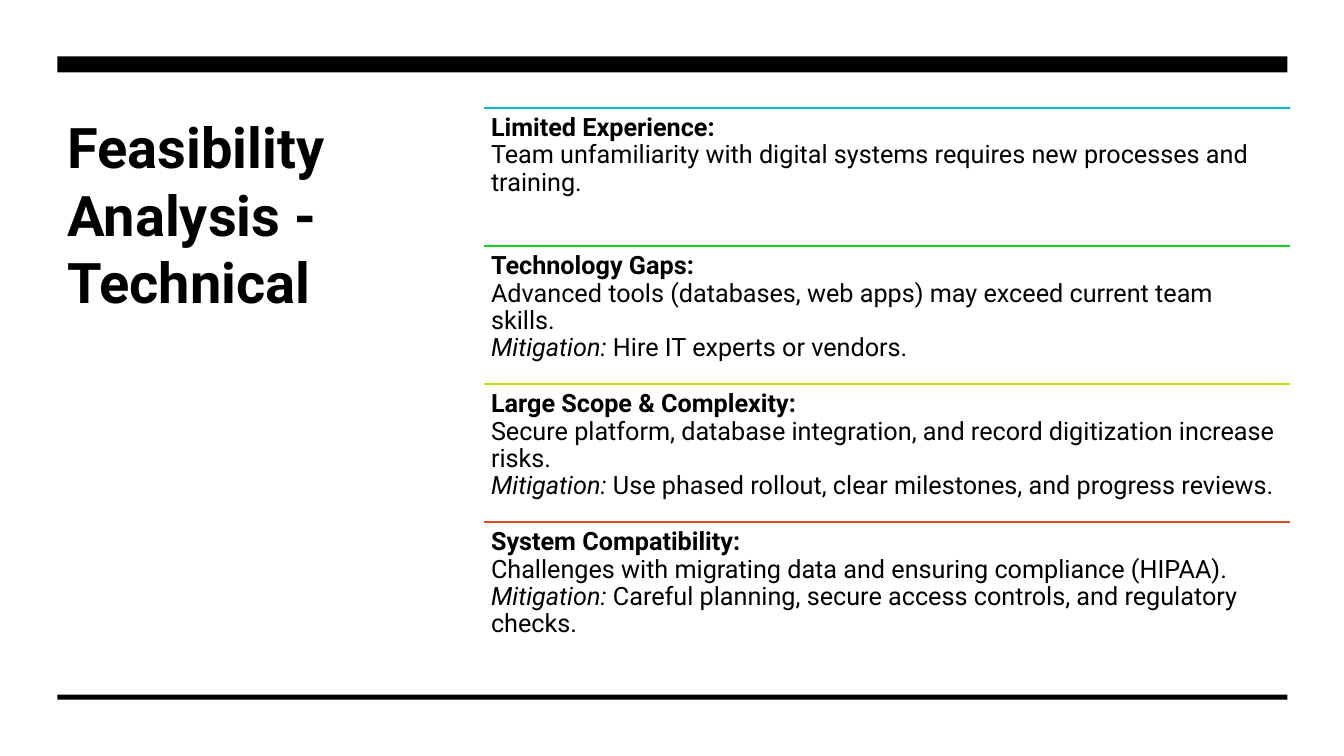
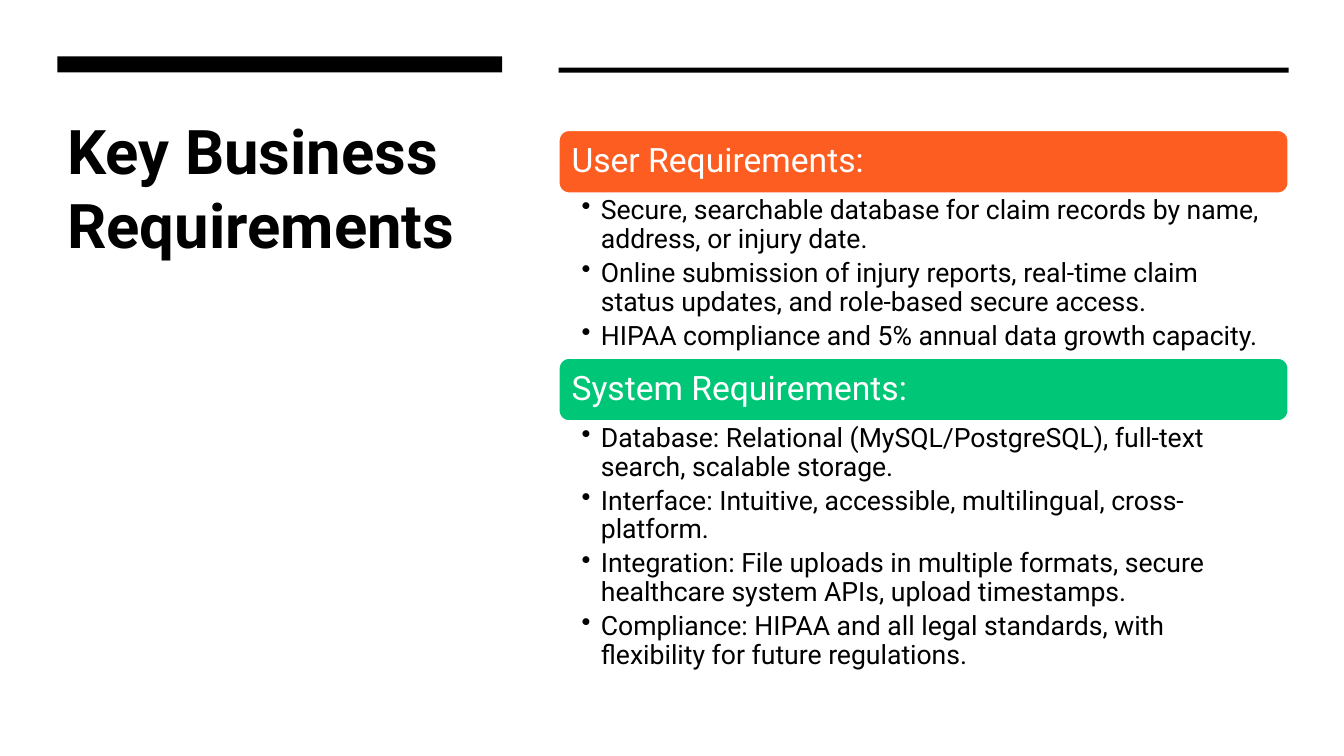
import pptx
import pptx.dml.color
import pptx.enum.shapes
import pptx.enum.text
import pptx.oxml.ns
import pptx.util
from lxml import etree
from pptx.util import Inches

BLACK, WHITE = "000000", "FFFFFF"
FONT = "Roboto"
MARGIN = 0.57
RECTANGLE = pptx.enum.shapes.MSO_SHAPE.RECTANGLE
ROUNDED = pptx.enum.shapes.MSO_SHAPE.ROUNDED_RECTANGLE
rgb = pptx.dml.color.RGBColor.from_string


def add_bar(slide, left, top, width, height, fill, kind=RECTANGLE, outline=None):
    bar = slide.shapes.add_shape(kind, Inches(left), Inches(top), Inches(width), Inches(height))
    bar.shadow.inherit = False
    bar.fill.solid()
    bar.fill.fore_color.rgb = rgb(fill)
    if outline:
        bar.line.color.rgb = rgb(outline)
        bar.line.width = pptx.util.Pt(1.5)
    else:
        bar.line.fill.background()
    return bar


def write_text(shape, paragraphs, size, color=BLACK, insets=(0.1, 0.05, 0.1, 0.05),
               spacing=0.9, after=0, bullet=None, anchor="TOP"):
    """Fill a shape; a paragraph is a list of (text, style), where "\\n" ends a line."""
    frame = shape.text_frame
    frame.word_wrap = True
    frame.vertical_anchor = pptx.enum.text.MSO_ANCHOR[anchor]
    frame.margin_left, frame.margin_top, frame.margin_right, frame.margin_bottom = map(Inches, insets)
    for index, runs in enumerate(paragraphs):
        paragraph = frame.add_paragraph() if index else frame.paragraphs[0]
        if bullet:
            properties = paragraph._p.get_or_add_pPr()
            properties.set("marL", str(Inches(0.19)))
            properties.set("indent", str(-Inches(0.19)))
            etree.SubElement(properties, pptx.oxml.ns.qn("a:buChar"), char=bullet)
        paragraph.alignment = pptx.enum.text.PP_ALIGN.LEFT
        paragraph.line_spacing = spacing
        paragraph.space_after = pptx.util.Pt(after)
        for text, style in runs:
            run = paragraph.add_run()
            run.text = text.rstrip("\n")
            run.font.name = FONT
            run.font.size = pptx.util.Pt(size)
            run.font.color.rgb = rgb(color)
            run.font.bold = style == "bold"
            run.font.italic = style == "italic"
            if text.endswith("\n"):
                paragraph.add_line_break()


deck = pptx.Presentation()
deck.slide_width, deck.slide_height = Inches(13.33), Inches(7.5)

# Title and heavy bar shared by both slides
slides = []
for title, title_size, title_width, title_height, bar_width in [
    ("Feasibility Analysis - Technical", 40, 3.45, 4.45, 12.2),
    ("Key Business Requirements", 44, 4.41, 3.68, 4.41),
]:
    slide = deck.slides.add_slide(deck.slide_layouts[6])
    slide.background.fill.solid()
    slide.background.fill.fore_color.rgb = rgb(WHITE)
    heading = slide.shapes.add_textbox(
        Inches(MARGIN), Inches(1.07), Inches(title_width), Inches(title_height))
    write_text(heading, [[(title, "bold")]], title_size, spacing=1.0)
    add_bar(slide, MARGIN, 0.56, bar_width, 0.16, BLACK)
    slides.append(slide)
feasibility, requirements = slides

# Slide 1: one ruled row per risk
add_bar(feasibility, MARGIN, 6.89, 12.2, 0.05, BLACK)
risks = [
    ("00BAC8", "Limited Experience:",
     "Team unfamiliarity with digital systems requires new processes and training.", None),
    ("08D61E", "Technology Gaps:",
     "Advanced tools (databases, web apps) may exceed current team skills.",
     "Hire IT experts or vendors."),
    ("C3E311", "Large Scope & Complexity:",
     "Secure platform, database integration, and record digitization increase risks.",
     "Use phased rollout, clear milestones, and progress reviews."),
    ("E64823", "System Compatibility:",
     "Challenges with migrating data and ensuring compliance (HIPAA).",
     "Careful planning, secure access controls, and regulatory checks."),
]
risk_left, risk_width, risk_height = 4.8, 7.99, 1.37
for row, (color, risk, detail, mitigation) in enumerate(risks):
    top = 1.07 + row * risk_height
    rule = feasibility.shapes.add_connector(
        pptx.enum.shapes.MSO_CONNECTOR.STRAIGHT,
        Inches(risk_left), Inches(top), Inches(risk_left + risk_width), Inches(top))
    rule.line.color.rgb = rgb(color)
    rule.line.width = pptx.util.Pt(1.5)
    etree.SubElement(rule._element.spPr, pptx.oxml.ns.qn("a:effectLst"))

    runs = [(risk + "\n", "bold")]
    if mitigation:
        runs += [(detail + "\n", ""), ("Mitigation:", "italic"), (" " + mitigation, "")]
    else:
        runs.append((detail, ""))
    risk_text = feasibility.shapes.add_textbox(
        Inches(risk_left), Inches(top), Inches(risk_width), Inches(risk_height))
    write_text(risk_text, [runs], 18, insets=(0.07,) * 4)

# Slide 2: coloured headers, each followed by its list
list_left, list_width, header_height = 5.54, 7.24, 0.63
add_bar(requirements, list_left, 0.67, list_width, 0.05, BLACK)
groups = [
    ("User Requirements:", "FE5D21", 1.63, [
        "Secure, searchable database for claim records by name, address, or injury date.",
        "Online submission of injury reports, real-time claim status updates, "
        "and role-based secure access.",
        "HIPAA compliance and 5% annual data growth capacity.",
    ]),
    ("System Requirements:", "00C777", 2.55, [
        "Database: Relational (MySQL/PostgreSQL), full-text search, scalable storage.",
        "Interface: Intuitive, accessible, multilingual, cross-platform.",
        "Integration: File uploads in multiple formats, secure healthcare system APIs, "
        "upload timestamps.",
        "Compliance: HIPAA and all legal standards, with flexibility for future regulations.",
    ]),
]
top = 1.29
for group, color, list_height, items in groups:
    header = add_bar(requirements, list_left, top, list_width, header_height, color, ROUNDED, WHITE)
    write_text(header, [[(group, "")]], 24, WHITE, insets=(0.1, 0.1, 0.1, 0.1), anchor="MIDDLE")
    top += header_height
    item_list = requirements.shapes.add_textbox(
        Inches(list_left), Inches(top), Inches(list_width), Inches(list_height))
    write_text(item_list, [[(item, "")] for item in items], 19,
               insets=(0.23, 0.03, 0.19, 0.03), after=3.8, bullet="•")
    top += list_height

deck.save("out.pptx")
